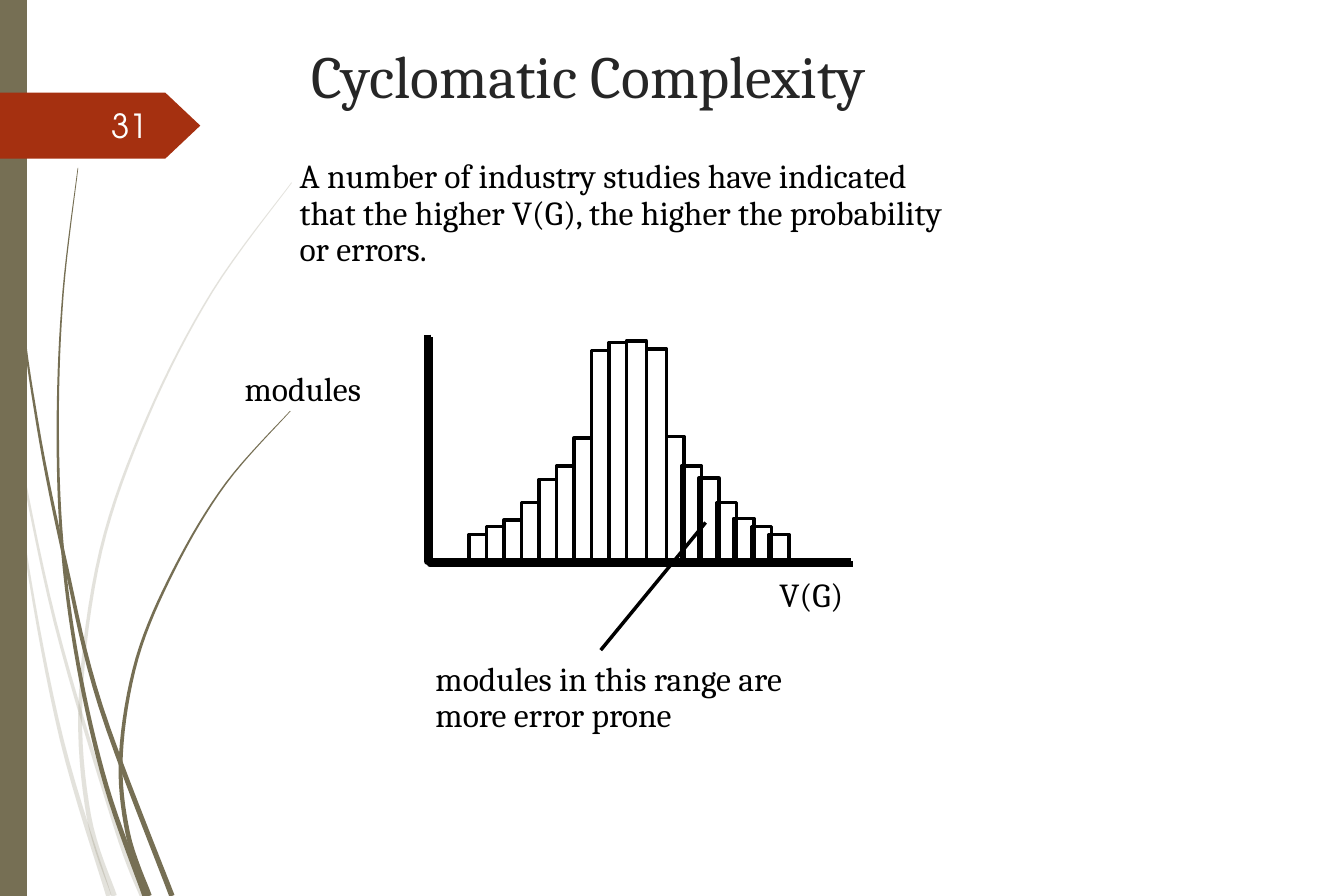
from collections import namedtuple
from dataclasses import dataclass
from math import hypot

from lxml.etree import SubElement
from pptx import Presentation
from pptx.dml.color import RGBColor
from pptx.enum.shapes import MSO_CONNECTOR, MSO_SHAPE
from pptx.enum.text import MSO_ANCHOR, PP_ALIGN
from pptx.oxml.ns import qn
from pptx.util import Inches, Pt

Box = namedtuple("Box", "left top width height")
BarRun = namedtuple("BarRun", "offset pitch filled heights")


@dataclass(frozen=True)
class Theme:
    """Colours, fonts and sizes of the slide."""
    olive: RGBColor = RGBColor(0x76, 0x6F, 0x54)
    rust: RGBColor = RGBColor(0xA5, 0x30, 0x10)
    ink: RGBColor = RGBColor(0, 0, 0)
    heading: RGBColor = RGBColor(0x26, 0x26, 0x26)
    paper: RGBColor = RGBColor(0xFF, 0xFF, 0xFF)
    number: RGBColor = RGBColor(0xFE, 0xFF, 0xFF)
    serif: str = "Cambria"
    sans: str = "TeX Gyre Adventor"
    title_size: float = 32
    body_size: float = 18
    number_size: float = 17.8
    bar_line: float = 1.88
    axis_line: float = 3.5
    pale_alpha: int = 20000


THEME = Theme()

PALE_BLADES = [
    [(0, 2.58), (0.1, 3.15), (0.41, 4.63), (0.86, 6.15), (1.06, 6.67)],
    [(0.08, 3.11), (0.2, 4.17), (0.46, 5.51), (0.81, 6.67)],
    [(2.17, 1.36), (1.58, 2.17), (1.1, 3.1), (0.75, 4.1), (0.6, 5.2), (0.66, 6.07), (0.85, 6.67)],
]
DARK_BLADES = [
    [(0.02, 0), (0.14, 2.07), (0.28, 3.16), (0.49, 4.2), (0.75, 5.26), (1.28, 6.67)],
    [(0.58, 1.25), (0.47, 2.17), (0.43, 3.1), (0.46, 4.03), (0.58, 4.94), (0.79, 5.85), (1.08, 6.67)],
    [(2.16, 3.06), (1.68, 3.6), (1.3, 4.23), (1.02, 4.9), (0.9, 5.62), (0.95, 6.2), (1.11, 6.67)],
]
BAR_WIDTH = 0.15
BAR_RUNS = [
    BarRun(0.31, 0.13, True, (0.22, 0.28, 0.33, 0.46, 0.63, 0.73, 0.94, 1.59, 1.65)),
    BarRun(1.76, 0.13, False, (0.95, 0.73, 0.64, 0.46, 0.34, 0.28, 0.22)),
    BarRun(1.48, 0.15, True, (1.66, 1.6)),
]


def set_all(target, **formats):
    """Set each format value as an attribute of the target."""
    for attribute, value in formats.items():
        setattr(target, attribute, value)


def paint(shape, fill=None, line=None, weight=0):
    """Give a shape its fill and line, and no shadow."""
    shape.shadow.inherit = False
    if fill is None:
        shape.fill.background()
    else:
        shape.fill.solid()
        shape.fill.fore_color.rgb = fill
    if line is None:
        shape.line.fill.background()
    else:
        shape.line.color.rgb = line
        shape.line.width = Pt(weight)


def write(shape, words, size, face, color, insets=(0, 0), wrap=False, anchor=MSO_ANCHOR.TOP,
          align=PP_ALIGN.LEFT, spacing=0.9):
    """Fill a shape with one formatted paragraph."""
    frame, (side, end) = shape.text_frame, map(Inches, insets)
    set_all(frame, word_wrap=wrap, vertical_anchor=anchor, margin_left=side, margin_right=side,
            margin_top=end, margin_bottom=end)
    paragraph = frame.paragraphs[0]
    paragraph.text = words
    set_all(paragraph, alignment=align, line_spacing=spacing)
    for run in paragraph.runs:
        set_all(run.font, size=Pt(size), name=face)
        run.font.color.rgb = color


def add_label(slide, box, words):
    """Place a body-size label in the box."""
    label = slide.shapes.add_textbox(*map(Inches, box))
    write(label, words, THEME.body_size, THEME.serif, THEME.ink)


def add_outline(shapes, points, close):
    """Draw a freeform through points given in inches."""
    start, *rest = [(Inches(x), Inches(y)) for x, y in points]
    builder = shapes.build_freeform(*start)
    builder.add_line_segments(rest, close=close)
    return builder.convert_to_shape()


def smooth_path(knots, steps=8):
    """Run a Catmull-Rom curve through the knots."""
    padded = [knots[0], *knots, knots[-1]]
    points = [knots[0]]
    for a, b, c, d in zip(padded, padded[1:], padded[2:], padded[3:]):
        for t in (step / steps for step in range(1, steps + 1)):
            points.append(tuple(
                q + t * (r - p + t * (2 * p - 5 * q + 4 * r - s + t * (3 * (q - r) + s - p))) / 2
                for p, q, r, s in zip(a, b, c, d)))
    return points


def taper(spine, tip=0.005, root=0.04):
    """Outline a blade that widens evenly along its spine."""
    near, far = [], []
    last = len(spine) - 1
    for index, (x, y) in enumerate(spine):
        (x0, y0), (x1, y1) = spine[max(index - 1, 0)], spine[min(index + 1, last)]
        half = (tip + (root - tip) * index / last) / 2 / hypot(x1 - x0, y1 - y0)
        across, down = (y1 - y0) * half, (x0 - x1) * half
        near.append((x + across, y + down))
        far.append((x - across, y - down))
    return near + far[::-1]


def add_grass(slide, box):
    """Draw the pale and dark blades and the side band."""
    for blades, pale in ((PALE_BLADES, True), (DARK_BLADES, False)):
        tuft = slide.shapes.add_group_shape()
        for knots in blades:
            spine = smooth_path([(box.left + x, box.top + y) for x, y in knots])
            blade = add_outline(tuft.shapes, taper(spine), True)
            paint(blade, THEME.olive)
            if pale:
                tint = blade._element.spPr.find(qn("a:solidFill"))[0]
                SubElement(tint, qn("a:alpha"), val=str(THEME.pale_alpha))
    band = slide.shapes.add_shape(MSO_SHAPE.RECTANGLE, *map(Inches, (box.left, box.top, 0.2, box.height)))
    paint(band, THEME.olive)


def add_page_tag(slide, box, number):
    """Draw the page arrow and its number."""
    tag = slide.shapes.add_shape(MSO_SHAPE.PENTAGON, *map(Inches, box))
    tag.adjustments[0] = 0.53
    paint(tag, THEME.rust)
    page = slide.shapes.add_textbox(*map(Inches, (box.left + 0.56, box.top + 0.08, 0.64, 0.36)))
    write(page, number, THEME.number_size, THEME.sans, THEME.number, (0.1, 0.05), True,
          MSO_ANCHOR.MIDDLE, PP_ALIGN.RIGHT)


def add_title(slide, box, words):
    """Move and format the title placeholder."""
    title = slide.shapes.title
    set_all(title, **dict(zip(box._fields, map(Inches, box))))
    write(title, words, THEME.title_size, THEME.serif, THEME.heading, (0.07, 0.03), spacing=1.0)


def add_histogram(slide, box):
    """Draw the bars on the floor of the box, then the doubled axes."""
    floor = box.top + box.height
    for run in BAR_RUNS:
        for index, height in enumerate(run.heights):
            left = box.left + run.offset + index * run.pitch
            bar = slide.shapes.add_shape(
                MSO_SHAPE.RECTANGLE, *map(Inches, (left, floor - height, BAR_WIDTH, height)))
            paint(bar, THEME.paper if run.filled else None, THEME.ink, THEME.bar_line)
    for shift in (0.02, 0):
        left, top = box.left + shift, box.top + shift
        corner = [(left, top), (left, top + 1.69), (left + 3.15, top + 1.69)]
        paint(add_outline(slide.shapes, corner, False), None, THEME.ink, THEME.axis_line)


def add_callout(slide, box, words):
    """Draw the pointer and the note under it."""
    ends = (box.left + 2.01, box.top, box.left + 1.23, box.top + 0.95)
    pointer = slide.shapes.add_connector(MSO_CONNECTOR.STRAIGHT, *map(Inches, ends))
    pointer.line.color.rgb = THEME.ink
    pointer.line.width = Pt(THEME.bar_line)
    SubElement(pointer._element.spPr, qn("a:effectLst"))
    add_label(slide, Box(box.left, box.top + 1.04, box.width, box.height - 1.04), words)


def main():
    """Build the slide and save it."""
    deck = Presentation()
    set_all(deck, slide_width=Inches(10), slide_height=Inches(6.67))
    slide = deck.slides.add_slide(deck.slide_layouts[5])
    add_grass(slide, Box(0, 0, 2.17, 6.67))
    add_page_tag(slide, Box(0, 0.69, 1.49, 0.49), "31")
    add_title(slide, Box(2.25, 0.26, 4.5, 0.6), "Cyclomatic Complexity")
    add_label(slide, Box(2.23, 1.19, 5.07, 0.82),
              "A number of industry studies have indicated\v"
              "that the higher V(G), the higher the probability\vor errors.")
    add_label(slide, Box(5.8, 4.31, 0.5, 0.27), "V(G)")
    add_label(slide, Box(1.82, 2.77, 0.92, 0.27), "modules")
    add_histogram(slide, Box(3.18, 2.49, 3.17, 1.71))
    add_callout(slide, Box(3.24, 3.89, 2.78, 1.58), "modules in this range are\vmore error prone")
    deck.save("out.pptx")


if __name__ == "__main__":
    main()
